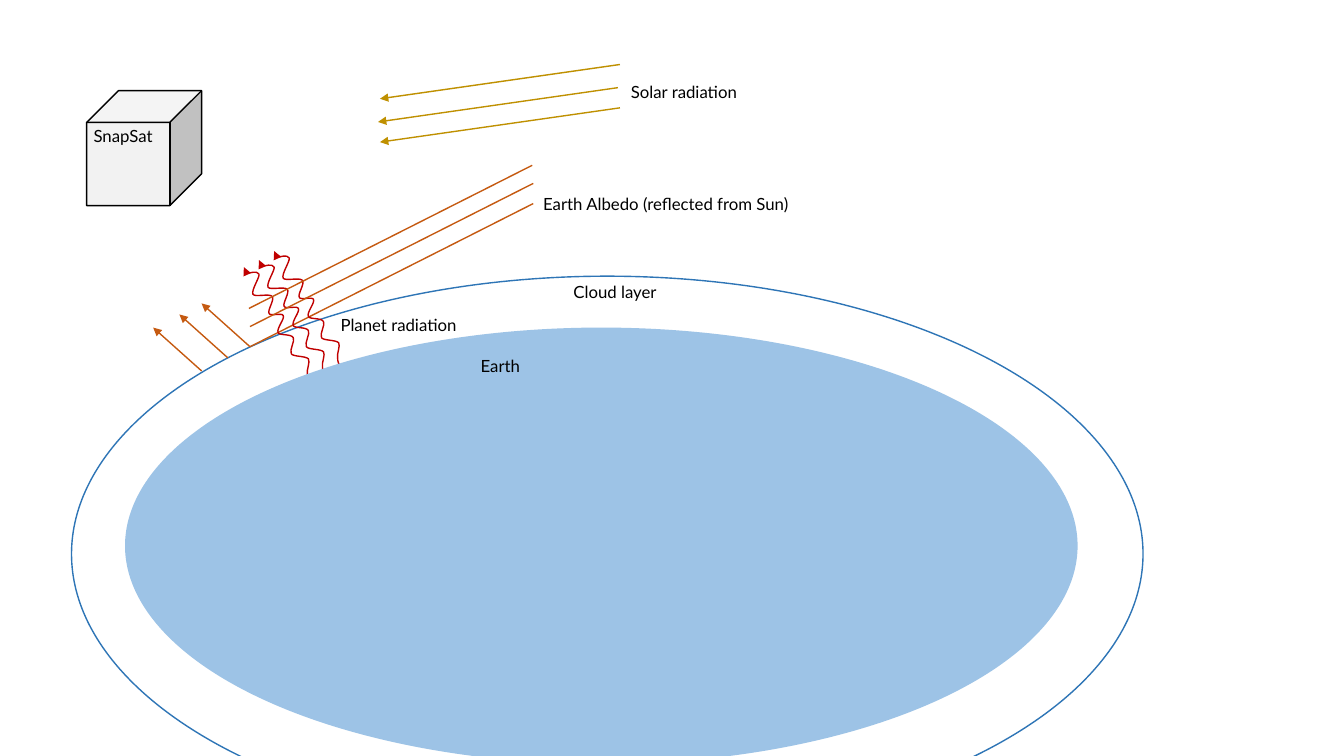
import pptx
import pptx.dml.color
import pptx.enum.shapes
import pptx.enum.text
import pptx.oxml
import pptx.oxml.ns
import pptx.util

COLORS = {"ink": "000000", "satellite": "F2F2F2", "earth": "9DC3E6", "cloud": "2E75B6",
          "sun": "BF9000", "albedo": "C55A11", "planet": "C00000"}
COLUMNS, ROWS = 133.33, 75
LABEL_HEIGHT = 3

# Wave as joined cubic curves, in columns and rows from its foot.
WAVE_FOOT = (0, 0)
WAVE_CURVES = [
    ((-0.2, -0.3), (-0.3, -0.5), (-0.3, -0.9)), ((-0.4, -1.3), (0, -2.1), (-0.2, -2.4)),
    ((-0.5, -2.7), (-1.7, -2.6), (-1.9, -2.9)), ((-2.1, -3.3), (-1.5, -4.2), (-1.7, -4.5)),
    ((-1.9, -4.9), (-3.1, -4.7), (-3.2, -5)), ((-3.4, -5.4), (-2.5, -6.4), (-2.7, -6.7)),
    ((-2.8, -7), (-4, -6.6), (-4.1, -6.9)), ((-4.3, -7.2), (-3.5, -8.3), (-3.8, -8.6)),
    ((-4.1, -8.9), (-5.5, -8.5), (-5.7, -8.8)), ((-5.9, -9.2), (-5, -10.5), (-5.1, -10.8)),
    ((-5.3, -11.2), (-6.2, -10.8), (-6.5, -10.9)), ((-6.7, -11), (-6.6, -11.3), (-6.6, -11.4)),
    ((-6.6, -11.5), (-6.6, -11.5), (-6.6, -11.5))]


def bend(freeform):
    """Turn each three straight segments into one cubic curve."""
    qn = pptx.oxml.ns.qn
    segments = list(freeform._element.iter(qn("a:lnTo")))
    for first in range(0, len(segments), 3):
        curve = pptx.oxml.parse_xml(f'<a:cubicBezTo {pptx.oxml.ns.nsdecls("a")}/>')
        segments[first].addprevious(curve)
        for segment in segments[first:first + 3]:
            curve.append(segment.find(qn("a:pt")))
            segment.getparent().remove(segment)


class Diagram:
    def __init__(self, presentation):
        self.slide = presentation.slides.add_slide(presentation.slide_layouts[6])
        self.shapes = self.slide.shapes
        self.column = presentation.slide_width / COLUMNS
        self.row = presentation.slide_height / ROWS

    def place(self, *lengths):
        """Turn alternating columns and rows into slide lengths."""
        return [round(length * (self.row if i % 2 else self.column))
                for i, length in enumerate(lengths)]

    def color(self, name):
        return pptx.dml.color.RGBColor.from_string(COLORS[name])

    def outline(self, item, color, arrow=False):
        item.line.color.rgb = self.color(color)
        item.line.width = pptx.util.Pt(1)
        if arrow:
            head = pptx.oxml.parse_xml(
                f'<a:tailEnd {pptx.oxml.ns.nsdecls("a")} type="triangle"/>')
            item.line._get_or_add_ln().append(head)

    def body(self, kind, left, top, width, height, fill=None, line=None):
        body = self.shapes.add_shape(kind, *self.place(left, top, width, height))
        body.shadow.inherit = False
        if fill:
            body.fill.solid()
            body.fill.fore_color.rgb = self.color(fill)
        else:
            body.fill.background()
        if line:
            self.outline(body, line)
        else:
            body.line.fill.background()
        return body

    def label(self, text, left, top, width, size=12, color="ink", font="Lato"):
        box = self.shapes.add_textbox(*self.place(left, top, width, LABEL_HEIGHT))
        frame = box.text_frame
        frame.word_wrap = False
        frame.auto_size = pptx.enum.text.MSO_AUTO_SIZE.SHAPE_TO_FIT_TEXT
        run = frame.paragraphs[0].add_run()
        run.text = text
        run.font.name = font
        run.font.size = pptx.util.Pt(size)
        run.font.color.rgb = self.color(color)
        return box

    def ray(self, start, reach, color, arrow=False):
        end = start[0] + reach[0], start[1] + reach[1]
        ray = self.shapes.add_connector(pptx.enum.shapes.MSO_CONNECTOR.STRAIGHT,
                                        *self.place(*start, *end))
        ray._element.spPr.append(
            pptx.oxml.parse_xml(f'<a:effectLst {pptx.oxml.ns.nsdecls("a")}/>'))
        self.outline(ray, color, arrow)
        return ray

    def wave(self, foot_column, foot_row):
        offsets = [WAVE_FOOT] + [point for curve in WAVE_CURVES for point in curve]
        points = [self.place(foot_column + x, foot_row + y) for x, y in offsets]
        builder = self.shapes.build_freeform(*points[0])
        builder.add_line_segments(points[1:], close=False)
        wave = builder.convert_to_shape()
        bend(wave)
        wave.shadow.inherit = False
        wave.fill.background()
        self.outline(wave, "planet", arrow=True)


def main():
    presentation = pptx.Presentation()
    presentation.slide_width = pptx.util.Inches(13.333)
    presentation.slide_height = pptx.util.Inches(7.5)
    diagram = Diagram(presentation)
    preset = pptx.enum.shapes.MSO_SHAPE

    satellite = diagram.body(preset.CUBE, 8.6, 9, 11.4, 11.4, "satellite", "ink")
    satellite.adjustments[0] = 0.276
    diagram.label("SnapSat", 8.3, 12, 8.2)
    diagram.body(preset.OVAL, 7.1, 27.4, 106.3, 55.1, line="cloud")

    albedo_label = diagram.label("Earth Albedo (reflected from Sun)", 52.9, 18.7, 27.5)
    for start in ((22.6, 35.5), (24.8, 34.4), (20, 36.8)):
        diagram.ray(start, (-4.8, -4.3), "albedo", arrow=True)
    labelled_ray = diagram.ray((52.9, 20.2), (-28.1, 14.2), "albedo")
    labelled_ray.begin_connect(albedo_label, 1)

    for foot in ((30.8, 38), (32.3, 37.3), (33.8, 36.4)):
        diagram.wave(*foot)

    diagram.body(preset.OVAL, 12.4, 32.5, 94.5, 43.3, fill="earth")
    diagram.label("Cloud layer", 55.9, 27.5, 10.7)
    diagram.label("Planet radiation", 32.8, 30.7, 14.2)
    diagram.label("Solar radiation", 61.6, 7.65, 13.2)
    diagram.label("Earth", 46.7, 34.8, 6.2)

    for start in ((61.5, 10.7), (61.3, 8.7), (61.5, 6.4)):
        diagram.ray(start, (-23.8, 3.4), "sun", arrow=True)
    for start in ((52.9, 18.2), (52.8, 16.4)):
        diagram.ray(start, (-28.1, 14.2), "albedo")

    presentation.save("out.pptx")


if __name__ == "__main__":
    main()
